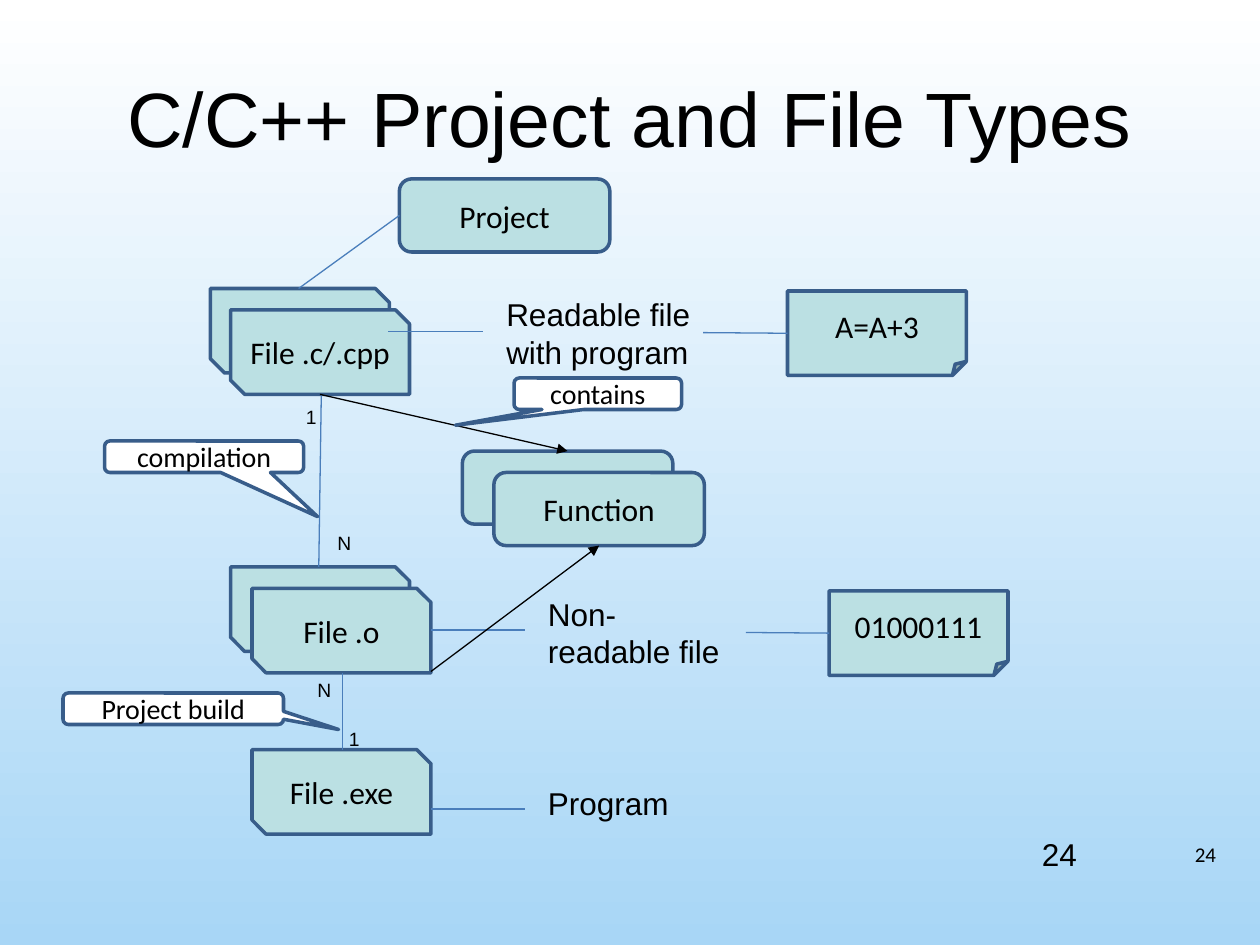
from lxml import etree
from pptx import Presentation
from pptx.dml.color import RGBColor
from pptx.enum.shapes import MSO_CONNECTOR, MSO_SHAPE
from pptx.enum.text import MSO_ANCHOR, PP_ALIGN
from pptx.oxml.ns import qn
from pptx.util import Inches, Pt

STRAIGHT = MSO_CONNECTOR.STRAIGHT
ROUNDED = MSO_SHAPE.ROUNDED_RECTANGLE
SNIPPED = MSO_SHAPE.SNIP_2_DIAG_RECTANGLE
FOLDED = MSO_SHAPE.FOLDED_CORNER
CALLOUT = MSO_SHAPE.ROUNDED_RECTANGULAR_CALLOUT
MIDDLE, TOP = MSO_ANCHOR.MIDDLE, MSO_ANCHOR.TOP
LEFT, CENTER, RIGHT = PP_ALIGN.LEFT, PP_ALIGN.CENTER, PP_ALIGN.RIGHT

rgb = RGBColor.from_string
TEAL, WHITE, BLACK = "BBE0E3", "FFFFFF", "000000"
OUTLINE, LINK = "385D8A", "4A7EBB"


def write(sp, text, size, font="Arial", align=LEFT, anchor=TOP):
    tf = sp.text_frame
    tf.word_wrap = True
    tf.vertical_anchor = anchor
    p = tf.paragraphs[0]
    p.alignment = align
    r = p.add_run()
    r.text = text
    r.font.size = Pt(size)
    r.font.name = font
    r.font.color.rgb = rgb(BLACK)


def add_box(kind, x, y, w, h, text="", fill=TEAL, size=18):
    sp = s.shapes.add_shape(kind, Inches(x), Inches(y), Inches(w), Inches(h))
    sp.shadow.inherit = False
    sp.fill.solid()
    sp.fill.fore_color.rgb = rgb(fill)
    sp.line.color.rgb = rgb(OUTLINE)
    sp.line.width = Pt(2)
    if text:
        write(sp, text, size, "Calibri", CENTER, MIDDLE)
    return sp


prs = Presentation()
prs.slide_width, prs.slide_height = Inches(10), Inches(7.5)
s = prs.slides.add_slide(prs.slide_layouts[5])

bg = s.background.fill
bg.gradient()
bg.gradient_angle = 270
for stop, color in zip(bg.gradient_stops, (WHITE, "A8D6F6")):
    stop.color.rgb = rgb(color)

title = s.shapes.title
title.left, title.top = Inches(0.5), Inches(0.3)
title.width, title.height = Inches(9), Inches(1.25)
write(title, "C/C++ Project and File Types", 44, "Arial", CENTER, MIDDLE)

# Files, from back to front
for x, y, text in [
    (1.67, 2.29, ""), (1.83, 2.46, "File .c/.cpp"),
    (1.83, 4.5, ""), (2, 4.67, "File .o"),
    (2, 5.95, "File .exe"),
]:
    add_box(SNIPPED, x, y, 1.42, 0.67, text)

project = add_box(ROUNDED, 3.17, 1.42, 1.67, 0.58, "Project")
function_back = add_box(ROUNDED, 3.67, 3.58, 1.67, 0.58)
function_front = add_box(ROUNDED, 3.92, 3.75, 1.67, 0.58, "Function")
source_note = add_box(FOLDED, 6.25, 2.31, 1.42, 0.67, "A=A+3")
binary_note = add_box(FOLDED, 6.58, 4.69, 1.42, 0.67, "01000111")

# Start, end, colour, and the shape and side the line ends at
for x1, y1, x2, y2, color, target, side in [
    (3.08, 2.63, 3.83, 2.63, LINK, None, None),
    (5.58, 2.64, 6.25, 2.65, LINK, source_note, 1),
    (2.37, 2.29, 3.17, 1.71, LINK, project, 1),
    (2.55, 3.13, 2.53, 4.5, LINK, None, None),
    (3.42, 5, 4.17, 5, LINK, None, None),
    (5.92, 5.02, 6.58, 5.02, LINK, binary_note, 1),
    (2.72, 5.34, 2.72, 5.95, LINK, None, None),
    (3.42, 6.42, 4.17, 6.42, LINK, None, None),
    (2.54, 3.13, 4.5, 3.58, BLACK, function_back, 0),
    (3.42, 5.33, 4.75, 4.33, BLACK, function_front, 2),
]:
    cxn = s.shapes.add_connector(STRAIGHT, Inches(x1), Inches(y1), Inches(x2), Inches(y2))
    cxn.line.color.rgb = rgb(color)
    cxn.line.width = Pt(0.75)
    if target is not None:
        cxn.end_connect(target, side)
    if color == BLACK:
        etree.SubElement(cxn.line._get_or_add_ln(), qn("a:tailEnd"), type="triangle")
    etree.SubElement(cxn._element.spPr, qn("a:effectLst"))

# Callouts with the offset of their tips
for x, y, w, text, tip_x, tip_y in [
    (4.08, 3, 1.33, "contains", -0.85, 1),
    (0.83, 3.5, 1.58, "compilation", 0.57, 1.9),
    (0.5, 5.5, 1.75, "Project build", 0.75, 0.66),
]:
    sp = add_box(CALLOUT, x, y, w, 0.25, text, WHITE, 16)
    sp.adjustments[0], sp.adjustments[1] = tip_x, tip_y

# Descriptions, multiplicities and page numbers
for x, y, w, h, text, size, font, align, anchor in [
    (3.92, 2.29, 1.67, 0.7, "Readable file with program", 18, "Arial", LEFT, TOP),
    (4.25, 4.67, 1.67, 0.7, "Non-readable file", 18, "Arial", LEFT, TOP),
    (4.25, 6.17, 1.67, 0.4, "Program", 18, "Arial", LEFT, TOP),
    (2.33, 3.17, 0.25, 0.29, "1", 11, "Arial", LEFT, TOP),
    (2.58, 4.17, 0.25, 0.29, "N", 11, "Arial", LEFT, TOP),
    (2.42, 5.33, 0.25, 0.29, "N", 11, "Arial", LEFT, TOP),
    (2.67, 5.72, 0.25, 0.29, "1", 11, "Arial", LEFT, TOP),
    (7.42, 6.58, 2.33, 0.4, "24", 12, "Calibri", RIGHT, MIDDLE),
    (8.17, 6.58, 2.33, 0.51, "24", 18, "Arial", LEFT, TOP),
]:
    sp = s.shapes.add_textbox(Inches(x), Inches(y), Inches(w), Inches(h))
    write(sp, text, size, font, align, anchor)

prs.save("out.pptx")
